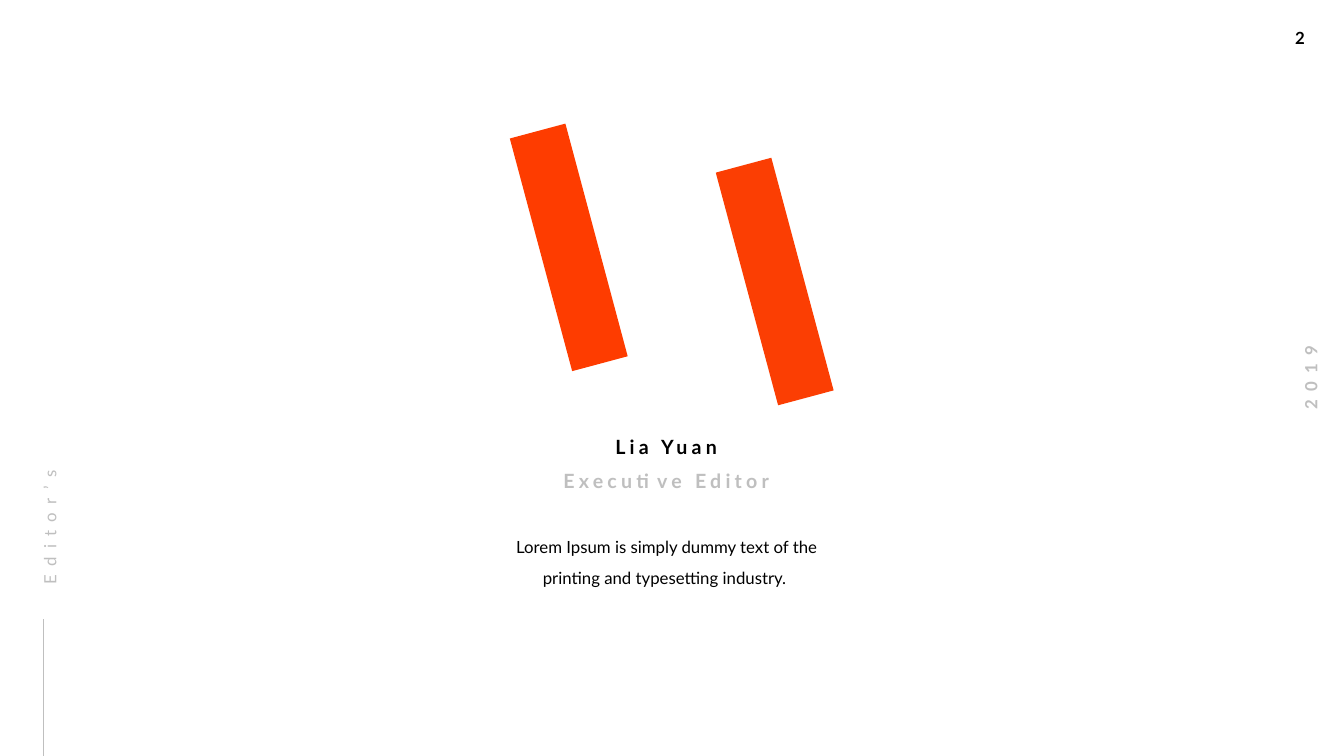
import pptx
import pptx.dml.color
import pptx.enum.shapes
import pptx.enum.text
import pptx.oxml.ns
import pptx.util
from lxml import etree

Cm = pptx.util.Cm
Pt = pptx.util.Pt
RGBColor = pptx.dml.color.RGBColor
Align = pptx.enum.text.PP_ALIGN

BLACK = RGBColor(0x00, 0x00, 0x00)
GREY = RGBColor(0xBF, 0xBF, 0xBF)
ORANGE = RGBColor(0xFE, 0x3C, 0x00)
DEEP_ORANGE = RGBColor(0xFB, 0x3E, 0x03)

TIGHT = (0, 0, 0.25, 0)
PADDED = (0.25, 0.13, 0.25, 0.13)


class EditorSlide:
    font = "Lato"

    def __init__(self, page):
        self.page = page

    def text(self, words, left, top, width, height, color=BLACK, bold=False,
             size=12, tracking=0, align=Align.LEFT, wrap=True,
             insets=PADDED, spacing=None, before=0, rotation=0):
        box = self.page.shapes.add_textbox(Cm(left), Cm(top), Cm(width), Cm(height))
        box.rotation = rotation
        frame = box.text_frame
        frame.word_wrap = wrap
        frame.auto_size = pptx.enum.text.MSO_AUTO_SIZE.SHAPE_TO_FIT_TEXT
        (frame.margin_left, frame.margin_top,
         frame.margin_right, frame.margin_bottom) = map(Cm, insets)
        frame.text = words
        para = frame.paragraphs[0]
        para.alignment = align
        para.line_spacing = spacing
        para.space_before = Pt(before)
        para.font.name = self.font
        para.font.size = Pt(size)
        para.font.bold = bold
        para.font.color.rgb = color
        if tracking:
            para._p.pPr.defRPr.set("spc", str(tracking * 100))

    def bar(self, left, top, color):
        shape = self.page.shapes.add_shape(
            pptx.enum.shapes.MSO_SHAPE.RECTANGLE, Cm(left), Cm(top), Cm(1.45), Cm(6.07))
        shape.rotation = 345
        shape.shadow.inherit = False
        shape.fill.solid()
        shape.fill.fore_color.rgb = color
        shape.line.fill.background()

    def line(self, left, top, right, bottom):
        line = self.page.shapes.add_connector(
            pptx.enum.shapes.MSO_CONNECTOR.STRAIGHT,
            Cm(left), Cm(top), Cm(right), Cm(bottom))
        line.line.color.rgb = GREY
        line.line.width = Pt(0.5)
        etree.SubElement(line._element.spPr, pptx.oxml.ns.qn("a:effectLst"))


def main():
    deck = pptx.Presentation()
    deck.slide_width = Cm(33.87)
    deck.slide_height = Cm(19.05)
    slide = EditorSlide(deck.slides.add_slide(deck.slide_layouts[6]))

    slide.text("2", 32.39, 0.56, 1.04, 0.76, bold=True, wrap=False)
    slide.text("2019", 31.85, 9.14, 2.36, 0.76, color=GREY, bold=True,
               tracking=6, align=Align.CENTER, wrap=False, rotation=270)

    slide.bar(18.8, 4.06, DEEP_ORANGE)
    slide.bar(13.61, 3.2, ORANGE)

    slide.line(1.09, 19.05, 1.09, 15.6)
    slide.text("Editor’s", -0.79, 12.5, 3.76, 0.69, color=GREY, tracking=6,
               insets=TIGHT, spacing=1.5, before=12, rotation=270)

    slide.text("Lorem Ipsum is simply dummy text of the printing and typesetting industry. ",
               12.8, 13.28, 8.26, 1.45, align=Align.CENTER,
               insets=TIGHT, spacing=1.5, before=12)
    for title, top, color in (("Lia Yuan", 10.97, BLACK),
                              ("Executive Editor", 11.81, GREY)):
        slide.text(title, 13.03, top, 7.77, 0.61, color=color, bold=True, size=14,
                   tracking=3, align=Align.CENTER, insets=TIGHT, before=12)

    deck.save("out.pptx")


if __name__ == "__main__":
    main()
